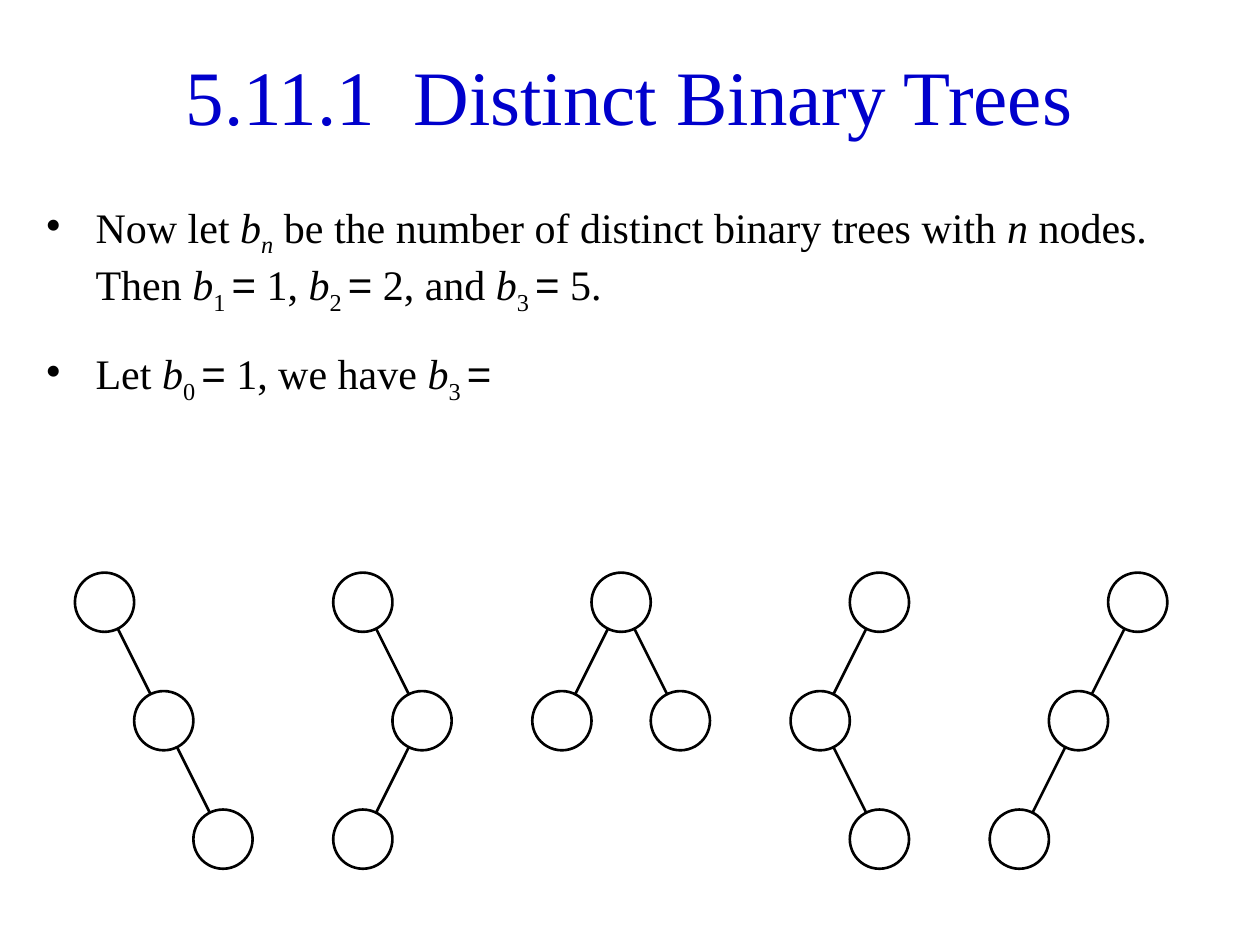
from lxml.etree import SubElement
from pptx import Presentation
from pptx.dml.color import RGBColor
from pptx.enum.shapes import MSO_CONNECTOR, MSO_SHAPE
from pptx.enum.text import MSO_ANCHOR, PP_ALIGN
from pptx.oxml.ns import qn
from pptx.util import Inches, Pt

COLORS = {"title": "0000CC", "ink": "000000", "node": "FFFFFF"}
SERIF, SANS = "Times New Roman", "Arial"


class TreeSlide:
    """Holds the slide and its style."""

    line_width = Pt(1.5)
    node_size = 0.47

    def __init__(self, slide):
        self.slide = slide

    def color(self, name):
        return RGBColor.from_string(COLORS[name])

    def text_box(self, left, top, width, height, anchor):
        shape = self.slide.shapes.add_textbox(
            Inches(left), Inches(top), Inches(width), Inches(height))
        frame = shape.text_frame
        frame.word_wrap = True
        frame.vertical_anchor = anchor
        return frame

    def run(self, paragraph, text, size, color, font=SERIF, italic=False, sub=False):
        run = paragraph.add_run()
        run.text = text
        run.font.name = font
        run.font.size = Pt(size)
        run.font.italic = italic
        run.font.color.rgb = self.color(color)
        if sub:
            run.font._element.set("baseline", "-25000")

    def title(self, text, *box):
        paragraph = self.text_box(*box, MSO_ANCHOR.MIDDLE).paragraphs[0]
        paragraph.alignment = PP_ALIGN.CENTER
        self.run(paragraph, text, 44, "title")

    def bullets(self, items, *box):
        frame = self.text_box(*box, MSO_ANCHOR.TOP)
        for index, runs in enumerate(items):
            paragraph = frame.add_paragraph() if index else frame.paragraphs[0]
            paragraph.space_before = Pt(18)
            properties = paragraph._p.get_or_add_pPr()
            properties.set("marL", str(Inches(0.39)))
            properties.set("indent", str(-Inches(0.39)))
            SubElement(properties, qn("a:buChar")).set("char", "•")
            for text, style in runs:
                self.run(paragraph, text, 24, "ink", **style)

    def edge(self, start, end):
        line = self.slide.shapes.add_connector(
            MSO_CONNECTOR.STRAIGHT, *map(Inches, (*start, *end)))
        line.line.color.rgb = self.color("ink")
        line.line.width = self.line_width
        SubElement(line._element.spPr, qn("a:effectLst"))

    def node(self, center):
        x, y = (value - self.node_size / 2 for value in center)
        size = Inches(self.node_size)
        shape = self.slide.shapes.add_shape(
            MSO_SHAPE.OVAL, Inches(x), Inches(y), size, size)
        shape.shadow.inherit = False
        shape.fill.solid()
        shape.fill.fore_color.rgb = self.color("node")
        shape.line.color.rgb = self.color("ink")
        shape.line.width = self.line_width

    def tree(self, centers, edges):
        for parent, child in edges:
            self.edge(centers[parent], centers[child])
        for center in centers:
            self.node(center)


PLAIN, ITALIC = {}, {"italic": True}


def b_equals(index):
    return [("b", ITALIC), (f"{index} ", {"sub": True}), ("=", {"font": SANS})]


presentation = Presentation()
presentation.slide_width, presentation.slide_height = Inches(10), Inches(7.5)
page = TreeSlide(presentation.slides.add_slide(presentation.slide_layouts[6]))

# Title and bullets
page.title("5.11.1  Distinct Binary Trees", 0.27, 0.28, 9.45, 0.94)
page.bullets([
    [("Now let ", PLAIN), ("b", ITALIC), ("n", {"italic": True, "sub": True}),
     (" be the number of distinct binary trees with ", PLAIN), ("n", ITALIC),
     (" nodes. Then ", PLAIN),
     *b_equals(1), (" 1, ", PLAIN),
     *b_equals(2), (" 2, and ", PLAIN),
     *b_equals(3), (" 5.", PLAIN)],
    [("Let ", PLAIN), *b_equals(0), (" 1, we have ", PLAIN), *b_equals(3)],
], 0.27, 1.55, 9.45, 2.2)

# The five trees: (column, level) of each node relative to its root
CHAIN, FORK = [(0, 1), (1, 2)], [(0, 1), (0, 2)]
TREES = [
    ([(0, 0), (1, 1), (2, 2)], CHAIN),
    ([(0, 0), (1, 1), (0, 2)], CHAIN),
    ([(0, 0), (-1, 1), (1, 1)], FORK),
    ([(0, 0), (-1, 1), (0, 2)], CHAIN),
    ([(0, 0), (-1, 1), (-2, 2)], CHAIN),
]
ROOT_X, ROOT_Y, TREE_GAP = 0.83, 4.78, 2.05
COLUMN_GAP, LEVEL_GAP = 0.47, 0.94
for number, (places, edges) in enumerate(TREES):
    root_x = ROOT_X + number * TREE_GAP
    page.tree([(root_x + column * COLUMN_GAP, ROOT_Y + level * LEVEL_GAP)
               for column, level in places], edges)

presentation.save("out.pptx")
